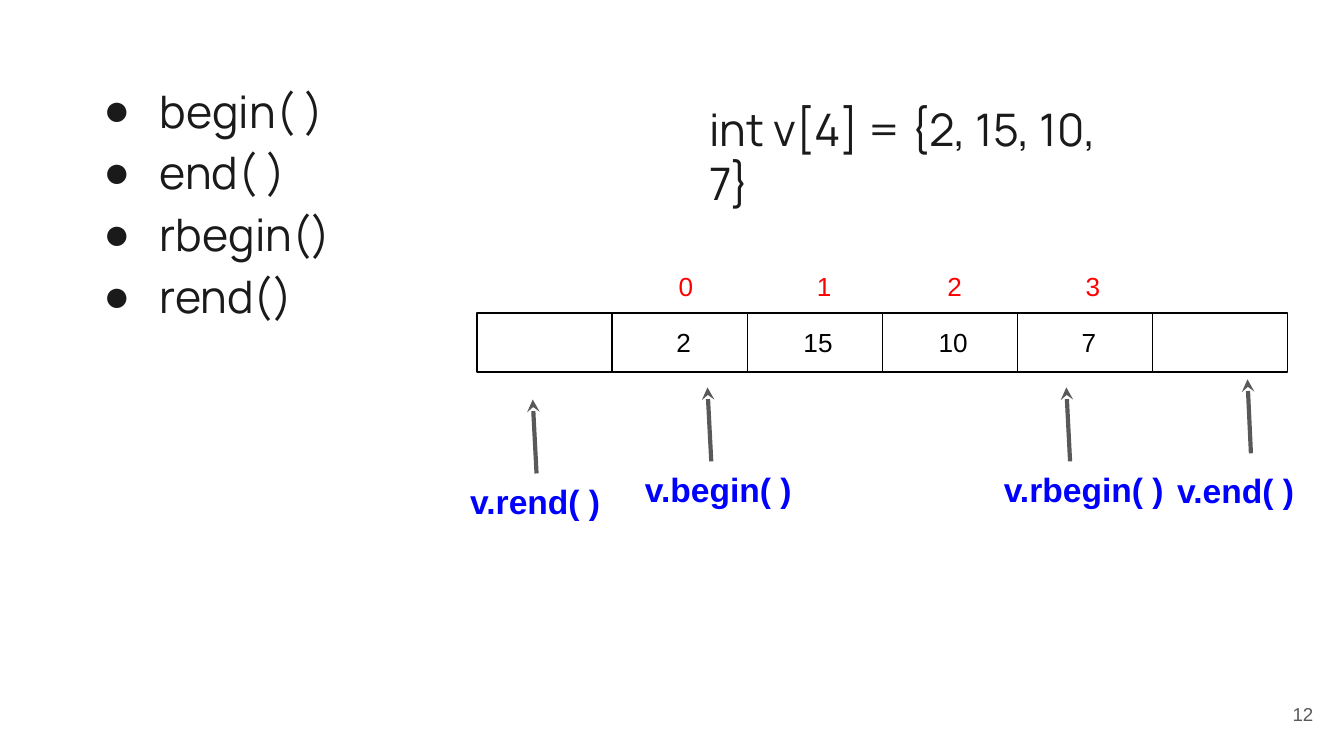
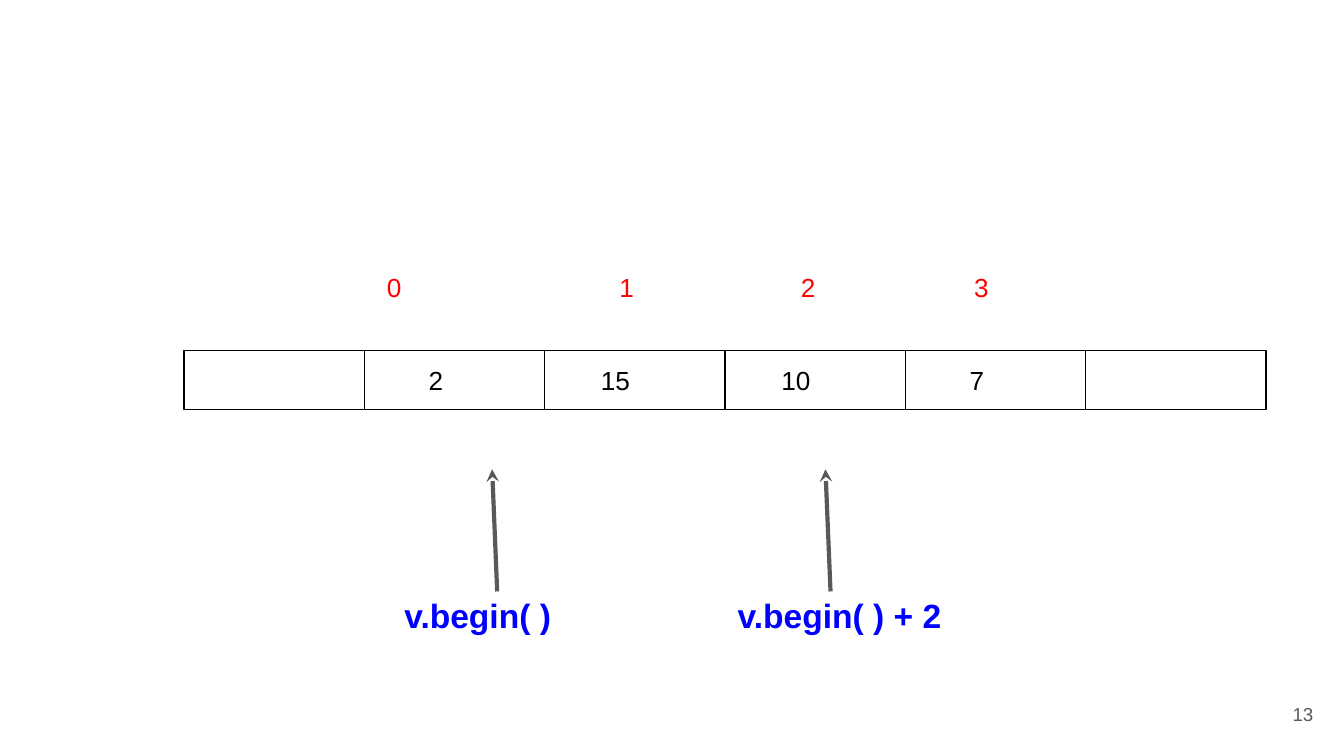
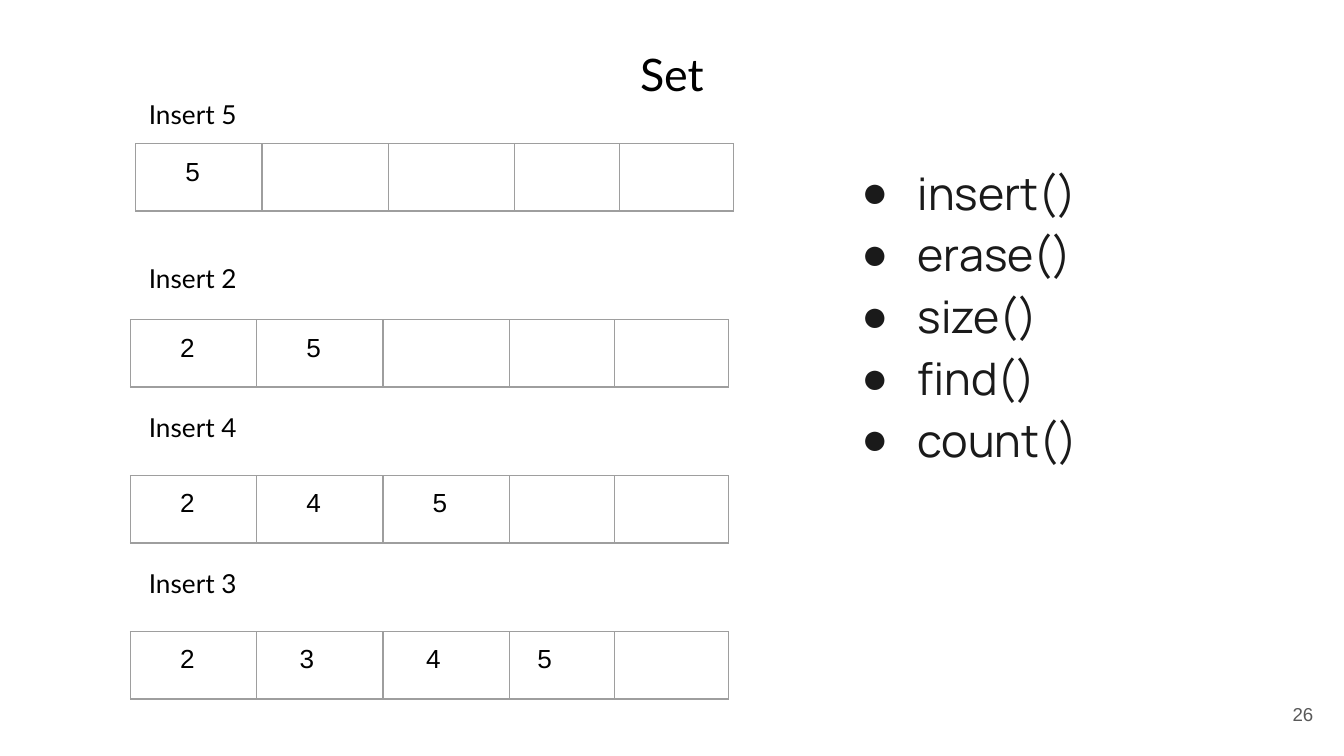
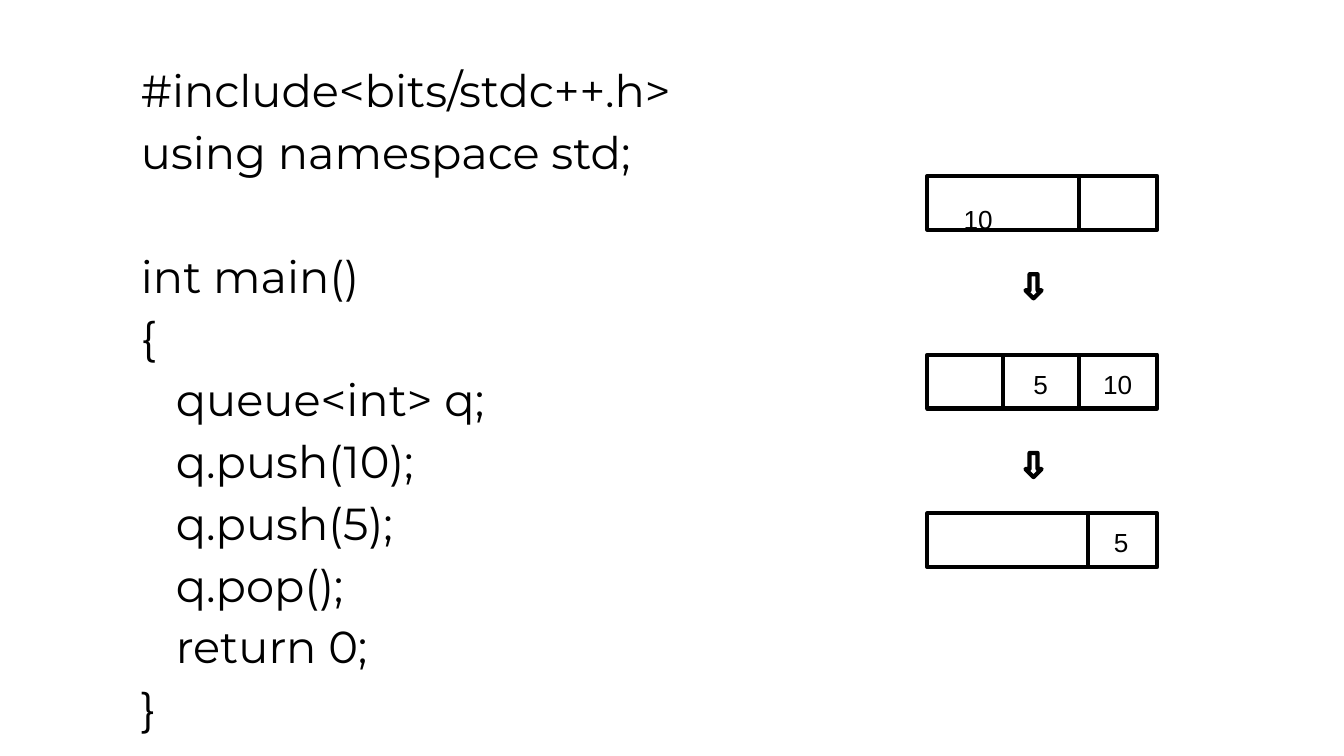
from lxml import etree
from pptx import Presentation
from pptx import util as u
from pptx.dml import color
from pptx.enum import shapes, text
from pptx.oxml import ns

# Grid: ten square columns across a 16:9 slide, one inch each
COLUMNS = 10
ROWS = COLUMNS * 9 / 16
INSET = 0.1

BLACK, WHITE, INK, GREY = "000000", "FFFFFF", "1A1A1A", "595959"
RED, BLUE, TABLE_LINE = "FF0000", "0000FF", "9E9E9E"

VECTOR = ["", "2", "15", "10", "7", ""]
SET_COLUMNS = [0.94, 0.94, 0.94, 0.78, 0.85]


def grid(*cells):
    return [u.Inches(cell) for cell in cells]


def rgb(hex_value):
    return color.RGBColor.from_string(hex_value)


def add_xml(parent, tag, **attributes):
    return etree.SubElement(parent, ns.qn(tag), attributes)


# Text helpers
def set_indent(paragraph, left, first_line):
    properties = paragraph._p.get_or_add_pPr()
    properties.set("marL", str(u.Inches(left)))
    properties.set("indent", str(u.Inches(first_line)))
    return properties


def style(paragraph, font, size, hex_value, bold=False, indent=0):
    for run in paragraph.runs:
        run.font.name, run.font.size, run.font.bold = font, u.Pt(size), bold
        run.font.color.rgb = rgb(hex_value)
    if indent:
        set_indent(paragraph, 0, indent)


def set_insets(text_frame, left=INSET, top=INSET, bottom=INSET):
    text_frame.margin_left, text_frame.margin_top = grid(left, top)
    text_frame.margin_right, text_frame.margin_bottom = grid(INSET, bottom)


def add_text(slide, box, content, font="Arial", size=14, hex_value=BLACK,
             bold=False, indent=0, align=text.PP_ALIGN.LEFT):
    text_frame = slide.shapes.add_textbox(*grid(*box)).text_frame
    text_frame.word_wrap = True
    set_insets(text_frame)
    text_frame.text = content
    for paragraph in text_frame.paragraphs:
        paragraph.alignment = align
        style(paragraph, font, size, hex_value, bold, indent)
    return text_frame


def add_page_number(slide, number):
    text_frame = add_text(slide, (9.27, 5.1, 0.6, 0.43), number, size=10,
                          hex_value=GREY, align=text.PP_ALIGN.RIGHT)
    text_frame.vertical_anchor = text.MSO_ANCHOR.MIDDLE


def add_bullets(slide, box, items):
    text_frame = add_text(slide, box, "\n".join(items), "Manrope", 24, INK)
    for paragraph in text_frame.paragraphs:
        paragraph.line_spacing = 1.15
        properties = set_indent(paragraph, 0.5, -0.42)
        add_xml(add_xml(properties, "a:buClr"), "a:srgbClr", val=INK)
        add_xml(properties, "a:buFont", typeface="Arial")
        add_xml(properties, "a:buChar", char="●")


# Shape helpers
def add_outline(slide, kind, box, width, fill=None):
    shape = slide.shapes.add_shape(kind, *grid(*box))
    shape.shadow.inherit = False
    if fill:
        shape.fill.solid()
        shape.fill.fore_color.rgb = rgb(fill)
    else:
        shape.fill.background()
    shape.line.color.rgb = rgb(BLACK)
    shape.line.width = u.Pt(width)
    return shape


def set_shape_text(shape, content, indent=0, **insets):
    text_frame = shape.text_frame
    set_insets(text_frame, **insets)
    text_frame.vertical_anchor = text.MSO_ANCHOR.TOP
    text_frame.text = content
    paragraph = text_frame.paragraphs[0]
    paragraph.alignment = text.PP_ALIGN.LEFT
    style(paragraph, "Arial", 14, BLACK, indent=indent)


def add_line(slide, start, end, hex_value, arrow=False):
    line = slide.shapes.add_connector(shapes.MSO_CONNECTOR.STRAIGHT,
                                      *grid(*start, *end))
    line.line.color.rgb = rgb(hex_value)
    line.line.width = u.Pt(2.25)
    if arrow:
        add_xml(line.line._get_or_add_ln(), "a:tailEnd", type="stealth")
    add_xml(line._element.spPr, "a:effectLst")


# Vector diagrams
def add_indices(slide, box, stops):
    content = "".join(f"\t{index}" for index in range(len(stops)))
    text_frame = add_text(slide, box, content, hex_value=RED)
    properties = text_frame.paragraphs[0]._p.get_or_add_pPr()
    tabs = add_xml(properties, "a:tabLst")
    for stop in stops:
        add_xml(tabs, "a:tab", pos=str(u.Inches(stop)), algn="l")


def add_vector(slide, box):
    left, top, width, height = box
    cell_width = width / len(VECTOR)
    for position, value in enumerate(VECTOR):
        cell = add_outline(slide, shapes.MSO_SHAPE.RECTANGLE,
                           (left + position * cell_width, top, cell_width, height), 0.75)
        if value:
            set_shape_text(cell, value, indent=0.44 - 0.06 * len(value))


def add_pointer(slide, box, label, shift=(0, 0)):
    """Label an iterator; its arrow rises from the label's top edge."""
    left, top, width, height = box
    x, y = left + shift[0], top + shift[1]
    add_text(slide, box, label, size=18, hex_value=BLUE, bold=True)
    add_line(slide, (x + 0.42 * width, y + 0.1 * height),
             (x + 0.4 * width, y - 1.18 * height), GREY, arrow=True)


def build_iterators(slide):
    add_page_number(slide, "12")
    add_bullets(slide, (0.59, 0.46, 3.21, 2.42),
                ["begin( )", "end( )", "rbegin()", "rend()"])
    add_indices(slide, (3.55, 1.91, 5.91, 0.67), [1.4, 2.43, 3.4, 4.43])
    add_vector(slide, (3.55, 2.33, 6.03, 0.44))
    for left, top, label in [(4.7, 3.39, "v.begin( )"), (3.4, 3.48, "v.rend( )"),
                             (7.37, 3.39, "v.rbegin( )")]:
        add_pointer(slide, (left, top, 1.41, 0.43), label)
    add_pointer(slide, (8.66, 3.4, 1.28, 0.43), "v.end( )", shift=(0.11, -0.07))
    add_text(slide, (5.18, 0.66, 3.22, 0.84), "int v[4] = {2, 15, 10, 7}",
             "Manrope", 24, INK)


def build_iterator_offset(slide):
    add_page_number(slide, "13")
    add_indices(slide, (1.37, 1.92, 7.88, 0.67), [1.41, 3.14, 4.49, 5.78])
    add_vector(slide, (1.37, 2.61, 8.05, 0.44))
    for left, label in [(2.91, "v.begin( )"), (5.39, "v.begin( ) + 2")]:
        add_pointer(slide, (left, 4.33, 1.88, 0.71), label)


# Set insertion
def add_cell_border(cell):
    properties = cell._tc.get_or_add_tcPr()
    for position, side in enumerate(("a:lnL", "a:lnR", "a:lnT", "a:lnB")):
        line = etree.Element(ns.qn(side), w=str(u.Pt(0.75)))
        add_xml(add_xml(line, "a:solidFill"), "a:srgbClr", val=TABLE_LINE)
        properties.insert(position, line)


def add_set_table(slide, left, top, values):
    box = (left, top, sum(SET_COLUMNS), 0.5)
    table = slide.shapes.add_table(1, len(SET_COLUMNS), *grid(*box)).table
    table.first_row = table.horz_banding = False
    for position, width in enumerate(SET_COLUMNS):
        table.columns[position].width = u.Inches(width)
        cell = table.cell(0, position)
        set_insets(cell)
        cell.fill.background()
        add_cell_border(cell)
        if position < len(values):
            value, indent = values[position]
            cell.text = value
            style(cell.text_frame.paragraphs[0], "Arial", 14, BLACK, indent=indent)


def build_set(slide):
    add_page_number(slide, "26")
    add_text(slide, (2.32, 0.25, 5.36, 0.61), "Set", "Lato", 24,
             align=text.PP_ALIGN.CENTER)
    steps = [
        ("Insert 5", 0.63, 1.01, 1.07, [("5", 0.27)]),
        ("Insert 2", 1.85, 0.97, 2.38, [("2", 0.27), ("5", 0.27)]),
        ("Insert 4", 2.96, 0.97, 3.54, [("2", 0.27), ("4", 0.27), ("5", 0.27)]),
        ("Insert 3", 4.12, 0.97, 4.7,
         [("2", 0.27), ("3", 0.22), ("4", 0.22), ("5", 0.11)]),
    ]
    for label, label_top, table_left, table_top, values in steps:
        add_text(slide, (1.01, label_top, 1.94, 0.44), label, "Lato")
        add_set_table(slide, table_left, table_top, values)
    add_bullets(slide, (6.23, 1.07, 3.21, 2.42),
                ["insert()", "erase()", "size()", "find()", "count()"])


# Queue
def add_code(slide, box):
    head = ["#include<bits/stdc++.h>", "using namespace std;", "int main()", "{"]
    # The closing brace follows a line break, clear of the first-line indent
    body = ["queue<int> q;", "q.push(10);", "q.push(5);", "q.pop();", "return 0;\v}"]
    text_frame = add_text(slide, box, "\n".join(head + body), "Montserrat", 24)
    for paragraph in text_frame.paragraphs:
        paragraph.line_spacing = 1.15
        if paragraph.text in body:
            set_indent(paragraph, 0, 0.26)
        elif paragraph.text == "int main()":
            paragraph.space_before = u.Pt(33)


def add_queue(slide, box, dividers, labels=()):
    """Dividers are shares of the box's width; labels are (text, offset, indent)."""
    left, top, width, height = box
    queue = add_outline(slide, shapes.MSO_SHAPE.RECTANGLE, box, 2.25, WHITE)
    for share in dividers:
        x = left + share * width
        add_line(slide, (x, top), (x, top + height), BLACK)
    for label, offset, indent in labels:
        add_text(slide, (left + offset, top, 0.42, 0.34), label, indent=indent)
    return queue


def build_queue(slide):
    add_code(slide, (0.95, 0.31, 4.42, 5.18))
    left, width, height = 6.9, 1.71, 0.4
    first = add_queue(slide, (left, 1.31, width, height), [0.66])
    add_queue(slide, (left, 2.64, width, height), [0.33, 0.66],
              [("10", 1.21, 0), ("5", 0.64, 0.05)])
    add_queue(slide, (left, 3.82, width, height), [0.7], [("5", 1.29, 0)])

    # The first value sits low in its box
    set_shape_text(first, "10", left=0.27, top=0.2, bottom=0)

    for top in (2.07, 3.4):
        arrow = add_outline(slide, shapes.MSO_SHAPE.RIGHT_ARROW,
                            (left + 0.7, top, 0.18, 0.12), 2.25, WHITE)
        arrow.rotation = 90


def main():
    presentation = Presentation()
    presentation.slide_width, presentation.slide_height = grid(COLUMNS, ROWS)
    for build in (build_iterators, build_iterator_offset, build_set, build_queue):
        build(presentation.slides.add_slide(presentation.slide_layouts[6]))
    presentation.save("out.pptx")


if __name__ == "__main__":
    main()
